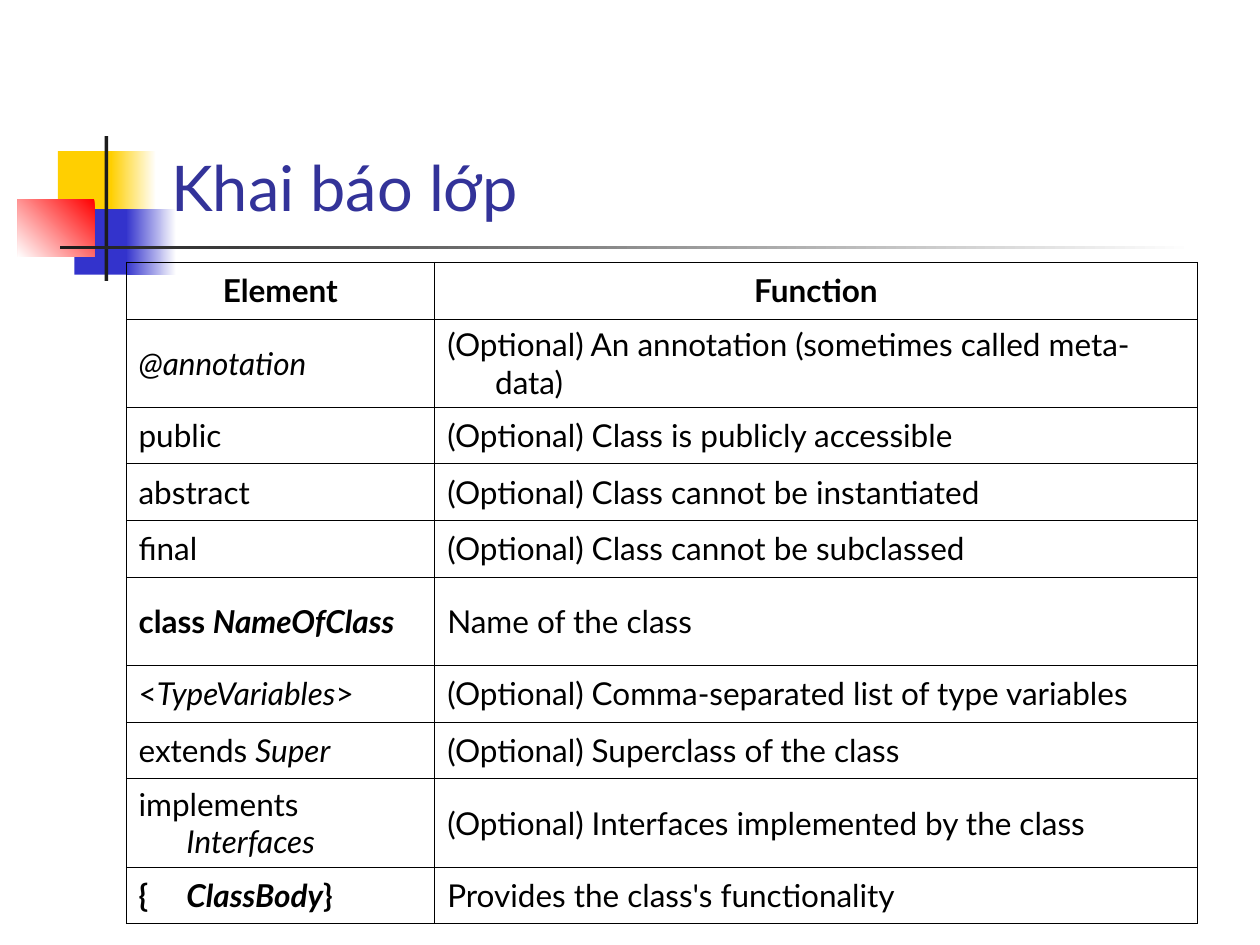
from lxml import etree
from pptx import Presentation
from pptx.dml.color import RGBColor
from pptx.enum.shapes import MSO_SHAPE
from pptx.enum.text import MSO_ANCHOR, PP_ALIGN
from pptx.oxml.ns import qn
from pptx.util import Inches, Pt

RECTANGLE = MSO_SHAPE.RECTANGLE
BOTTOM, MIDDLE = MSO_ANCHOR.BOTTOM, MSO_ANCHOR.MIDDLE
LEFT, CENTER = PP_ALIGN.LEFT, PP_ALIGN.CENTER
FONT = "Lato"
BLACK, WHITE = "000000", "FFFFFF"
YELLOW, BLUE, RED, DARK = "FFCF01", "3333CC", "FF0000", "1C1C1C"


def color(hex_text):
    return RGBColor.from_string(hex_text)


def write(frame, runs, size=18, ink=BLACK, align=LEFT, hanging=0):
    """Fill the first paragraph with (text, style) runs; b is bold, i italic."""
    paragraph = frame.paragraphs[0]
    paragraph.alignment = align
    if hanging:
        properties = paragraph._p.get_or_add_pPr()
        properties.set("marL", str(Inches(hanging)))
        properties.set("indent", str(-Inches(hanging)))
    for text, style in runs:
        run = paragraph.add_run()
        run.text = text
        run.font.name = FONT
        run.font.size = Pt(size)
        run.font.color.rgb = color(ink)
        run.font.bold = "b" in style
        run.font.italic = "i" in style


prs = Presentation()
prs.slide_width, prs.slide_height = Inches(10), Inches(7.5)
slide = prs.slides.add_slide(prs.slide_layouts[6])

# Corner ornament: box, colours (one is solid, two a gradient), gradient angle
ornament = [
    ((0.46, 1.2, 0.48, 0.52), [YELLOW], 0),
    ((0.88, 1.2, 0.36, 0.52), [WHITE, YELLOW], 180),
    ((0.59, 1.66, 0.46, 0.52), [BLUE], 0),
    ((1, 1.66, 0.4, 0.52), [WHITE, BLUE], 180),
    ((0.14, 1.58, 0.61, 0.46), [RED, WHITE], 225),
    ((0.83, 1.08, 0.03, 1.15), [DARK], 0),
    ((0.48, 1.95, 9, 0.03), [WHITE, DARK], 180),
]
for box, colors, angle in ornament:
    block = slide.shapes.add_shape(RECTANGLE, *map(Inches, box))
    block.shadow.inherit = False
    block.line.fill.background()
    if len(colors) == 1:
        block.fill.solid()
        block.fill.fore_color.rgb = color(colors[0])
    else:
        block.fill.gradient()
        block.fill.gradient_angle = angle
        for stop, shade in zip(block.fill.gradient_stops, colors):
            stop.color.rgb = color(shade)

# Title
title = slide.shapes.add_textbox(Inches(1.26), Inches(0.23), Inches(8.52), Inches(1.6))
title.text_frame.word_wrap = True
title.text_frame.vertical_anchor = BOTTOM
write(title.text_frame, [("Khai báo lớp", "")], size=36, ink="333399")

# Class declaration table: element runs, function runs
declaration = [
    ([("Element", "b")], [("Function", "b")]),
    ([("@annotation", "i")],
     [("(Optional) An annotation (sometimes called meta-data)", "")]),
    ([("public", "")], [("(Optional) Class is publicly accessible", "")]),
    ([("abstract", "")], [("(Optional) Class cannot be instantiated", "")]),
    ([("final", "")], [("(Optional) Class cannot be subclassed", "")]),
    ([("class ", "b"), ("NameOfClass", "bi")], [("Name of the class", "")]),
    ([("<", ""), ("TypeVariables", "i"), (">", "")],
     [("(Optional) Comma-separated list of type variables", "")]),
    ([("extends ", ""), ("Super", "i")], [("(Optional) Superclass of the class", "")]),
    ([("implements ", ""), ("Interfaces", "i")],
     [("(Optional) Interfaces implemented by the class", "")]),
    ([("{\t", "b"), ("ClassBody", "bi"), ("}", "b")],
     [("Provides the class's functionality", "")]),
]
tall_rows = {1, 5, 8}
table = slide.shapes.add_table(
    len(declaration), 2, Inches(1), Inches(2.08), Inches(8.5), Inches(5.25)).table
table.first_row = table.horz_banding = False
table.columns[0].width, table.columns[1].width = Inches(2.45), Inches(6.05)

for row, entry in enumerate(declaration):
    table.rows[row].height = Inches(0.7 if row in tall_rows else 0.45)
    for column, runs in enumerate(entry):
        cell = table.cell(row, column)
        cell.vertical_anchor = MIDDLE
        write(cell.text_frame, runs, align=LEFT if row else CENTER, hanging=0.38)
        # Thin black borders come before the fill in the cell properties
        properties = cell._tc.get_or_add_tcPr()
        for side in ("a:lnL", "a:lnR", "a:lnT", "a:lnB"):
            border = etree.SubElement(properties, qn(side), w=str(Pt(0.34)))
            border_fill = etree.SubElement(border, qn("a:solidFill"))
            etree.SubElement(border_fill, qn("a:srgbClr"), val=BLACK)
        cell.fill.background()

prs.save("out.pptx")
